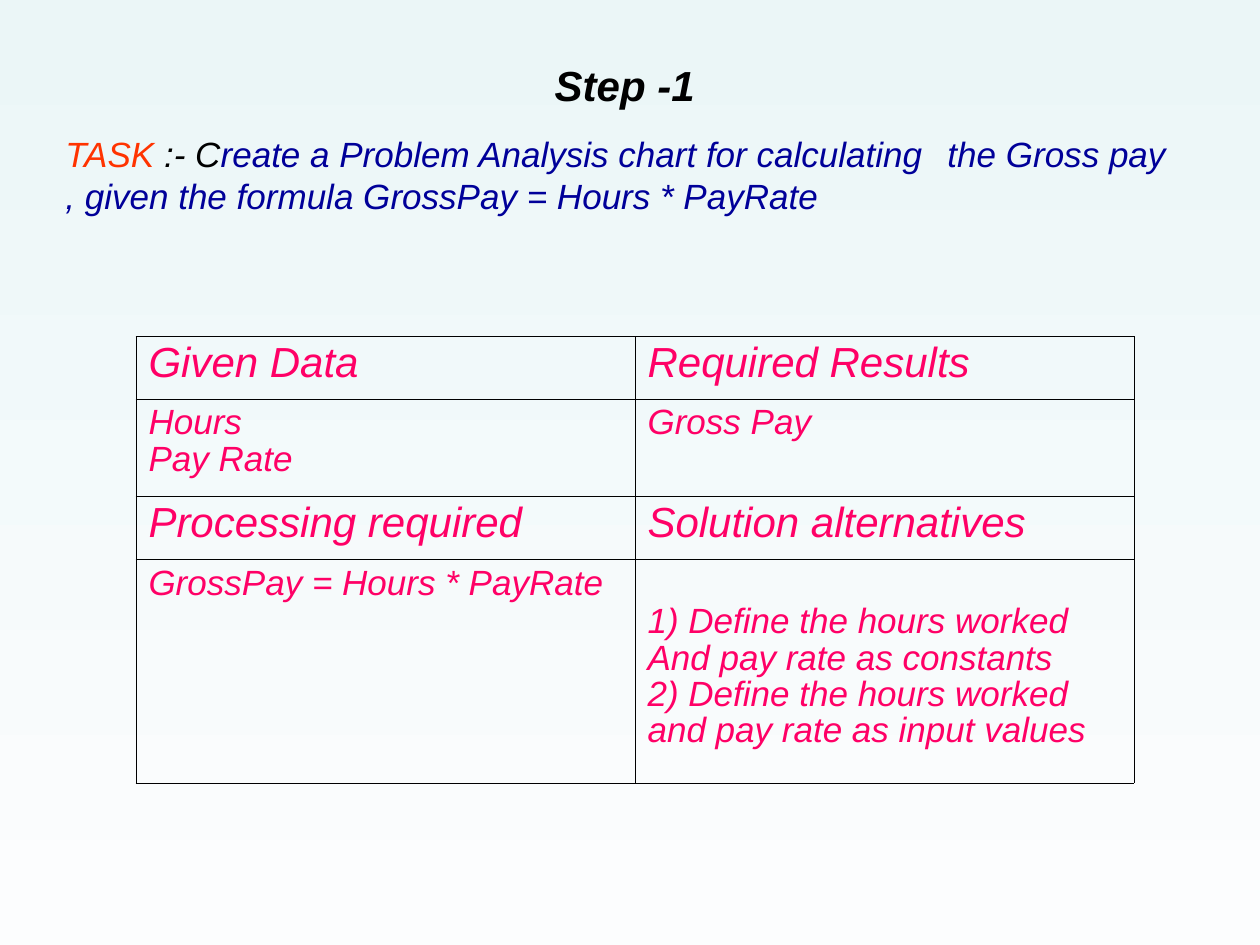
from typing import NamedTuple

import pptx
import pptx.dml.color
import pptx.enum.text
import pptx.oxml
import pptx.oxml.ns
import pptx.util
from pptx.util import Cm

COLOURS = {
    "sky": "EBF6F7",
    "mist": "FCFDFE",
    "black": "000000",
    "orange": "FF3300",
    "navy": "000099",
    "pink": "FF0066",
}
BORDER_WIDTH = pptx.util.Pt(0.23)
TAB_STOPS = [Cm(2.54 * index) for index in range(8)]
HEADING_SIZE, BODY_SIZE = 24, 20


class Piece(NamedTuple):
    text: str
    colour: str


class TextBox(NamedTuple):
    left: float
    top: float
    width: float
    height: float
    pieces: list[Piece]
    size: int
    paragraph_format: dict
    bold: bool = False
    anchor: pptx.enum.text.MSO_ANCHOR = pptx.enum.text.MSO_ANCHOR.TOP


class TableRow(NamedTuple):
    height: float
    size: int
    cells: list[list[str]]
    top_margins: tuple[float, float] = (0.13, 0.13)


TASK = TextBox(
    1.07, 1.07, 22.86, 4.88,
    [
        Piece("TASK", "orange"),
        Piece(" :- C", "black"),
        Piece("reate a Problem Analysis chart for calculating \tthe Gross pay "
              ", given the formula GrossPay = Hours * PayRate", "navy"),
    ],
    BODY_SIZE, {}, anchor=pptx.enum.text.MSO_ANCHOR.MIDDLE,
)
TITLE = TextBox(
    10.59, 1.07, 4.01, 1.27, [Piece("Step -1", "black")],
    HEADING_SIZE, {"alignment": pptx.enum.text.PP_ALIGN.CENTER}, bold=True,
)
ROWS = [
    TableRow(1.27, HEADING_SIZE, [["Given Data"], ["Required Results"]]),
    TableRow(1.96, BODY_SIZE, [["Hours", "Pay Rate"], ["Gross Pay"]]),
    TableRow(1.27, HEADING_SIZE, [["Processing required"], ["Solution alternatives"]]),
    TableRow(4.5, BODY_SIZE, [
        ["GrossPay = Hours * PayRate"],
        ["1) Define the hours worked", "And pay rate as constants",
         "2) Define the hours worked and pay rate as input values"],
    ], top_margins=(0.13, 0.91)),
]


def rgb(name: str) -> pptx.dml.color.RGBColor:
    return pptx.dml.color.RGBColor.from_string(COLOURS[name])


def apply_format(target, values: dict) -> None:
    for name, value in values.items():
        setattr(target, name, value)


def add_tab_stops(paragraph) -> None:
    tabs = pptx.oxml.parse_xml(f"<a:tabLst {pptx.oxml.ns.nsdecls('a')}/>")
    for position in TAB_STOPS:
        tab = tabs.makeelement(pptx.oxml.ns.qn("a:tab"), pos=str(int(position)), algn="l")
        tabs.append(tab)
    paragraph._p.get_or_add_pPr().append(tabs)


def fill_paragraph(paragraph, pieces: list[Piece], size: int, paragraph_format: dict,
                   bold: bool = False) -> None:
    add_tab_stops(paragraph)
    apply_format(paragraph, paragraph_format)
    for piece in pieces:
        run = paragraph.add_run()
        run.text = piece.text
        apply_format(run.font, {"name": "Arial", "size": pptx.util.Pt(size),
                                "bold": bold, "italic": True})
        run.font.color.rgb = rgb(piece.colour)


def add_text_box(slide, box: TextBox) -> None:
    shape = slide.shapes.add_textbox(Cm(box.left), Cm(box.top), Cm(box.width), Cm(box.height))
    apply_format(shape.text_frame, {"word_wrap": True, "vertical_anchor": box.anchor})
    fill_paragraph(shape.text_frame.paragraphs[0], box.pieces, box.size,
                   box.paragraph_format, box.bold)


def add_borders(cell) -> None:
    properties = cell._tc.get_or_add_tcPr()
    for side in ("lnL", "lnR", "lnT", "lnB"):
        properties.append(pptx.oxml.parse_xml(
            f'<a:{side} {pptx.oxml.ns.nsdecls("a")} w="{int(BORDER_WIDTH)}">'
            f'<a:solidFill><a:srgbClr val="{COLOURS["black"]}"/></a:solidFill></a:{side}>'))


def fill_cell(cell, lines: list[str], size: int, top_margin: float) -> None:
    add_borders(cell)
    cell.fill.background()
    cell.margin_top = Cm(top_margin)
    for index, line in enumerate(lines):
        frame = cell.text_frame
        paragraph = frame.add_paragraph() if index else frame.paragraphs[0]
        fill_paragraph(paragraph, [Piece(line, "pink")], size, {"line_spacing": 0.93})


def add_analysis_table(slide, rows: list[TableRow]) -> None:
    height = sum(row.height for row in rows)
    table = slide.shapes.add_table(len(rows), 2, Cm(2.74), Cm(6.78), Cm(20.12), Cm(height)).table
    apply_format(table, {"first_row": False, "horz_banding": False})
    for row_index, row in enumerate(rows):
        table.rows[row_index].height = Cm(row.height)
        for column_index, lines in enumerate(row.cells):
            fill_cell(table.cell(row_index, column_index), lines, row.size,
                      row.top_margins[column_index])


def main() -> None:
    presentation = pptx.Presentation()
    apply_format(presentation, {"slide_width": Cm(25.4), "slide_height": Cm(19.05)})
    slide = presentation.slides.add_slide(presentation.slide_layouts[6])

    # Background, light at the bottom
    fill = slide.background.fill
    fill.gradient()
    fill.gradient_angle = 270
    for stop, position, name in zip(fill.gradient_stops, (0, 1), ("sky", "mist")):
        stop.position = position
        stop.color.rgb = rgb(name)

    # Task, problem analysis chart and title
    add_text_box(slide, TASK)
    add_analysis_table(slide, ROWS)
    add_text_box(slide, TITLE)
    presentation.save("out.pptx")


if __name__ == "__main__":
    main()
